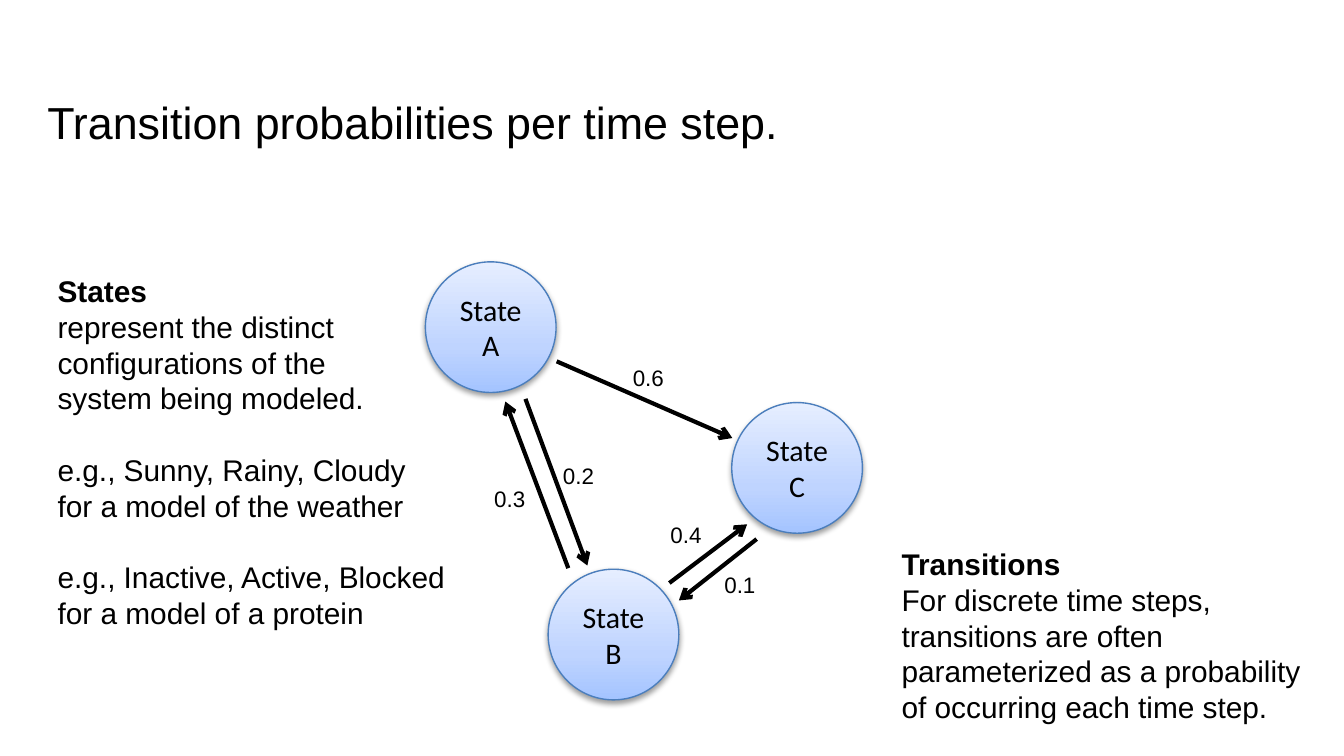
from dataclasses import dataclass

import lxml.etree
import pptx
import pptx.dml.color
import pptx.enum.shapes
import pptx.enum.text
import pptx.oxml
import pptx.oxml.ns
import pptx.util

Cm = pptx.util.Cm
Pt = pptx.util.Pt
qn = pptx.oxml.ns.qn


@dataclass(frozen=True)
class Theme:
    ink: str = "000000"
    edge: str = "4B7EBC"
    fade: tuple = ((0, "A4C4FF"), (35, "BFD4FF"), (100, "E6EEFF"))
    sans: str = "Arial"
    node: str = "Calibri"
    title: int = 24
    body: int = 16
    label: int = 12


THEME = Theme()
DIAM = 2.47

STATES = [("State A", 8.04, 4.95), ("State B", 10.36, 10.76), ("State C", 13.83, 7.61)]

MOVES = [
    ("0.2", (9.93, 7.54), (11.1, 10.69), (10.39, 8.61)),
    ("0.6", (10.52, 6.83), (13.84, 8.28), (11.71, 6.76)),
    ("0.4", (12.65, 11.02), (14.12, 9.91), (12.42, 9.73)),
    ("0.1", (14.3, 10.19), (12.83, 11.35), (13.44, 10.67)),
    ("0.3", (10.74, 10.74), (9.55, 7.59), (9.09, 9.04)),
]

LEFT = [
    ["States", "represent the distinct", "configurations of the", "system being modeled."],
    ["e.g., Sunny, Rainy, Cloudy", "for a model of the weather"],
    ["e.g., Inactive, Active, Blocked", "for a model of a protein"],
]

RIGHT = [[
    "Transitions",
    "For discrete time steps, transitions are often parameterized "
    "as a probability of occurring each time step.",
]]


def rgb(code):
    return pptx.dml.color.RGBColor.from_string(code)


def style(para, size, face=THEME.sans, bold=False):
    font = para.font
    font.name, font.size, font.bold = face, Pt(size), bold
    font.color.rgb = rgb(THEME.ink)


def add_title(slide, text):
    title = slide.shapes.title
    title.left, title.top, title.width, title.height = Cm(0.64), Cm(1.65), Cm(24.13), Cm(0.79)
    frame = title.text_frame
    frame.text = text
    frame.auto_size = pptx.enum.text.MSO_AUTO_SIZE.NONE
    frame.vertical_anchor = pptx.enum.text.MSO_ANCHOR.MIDDLE
    para = frame.paragraphs[0]
    para.alignment = pptx.enum.text.PP_ALIGN.LEFT
    para.line_spacing = 1.5
    style(para, THEME.title)


def add_box(shapes, area, wrap):
    frame = shapes.add_textbox(*map(Cm, area)).text_frame
    frame.word_wrap = wrap
    return frame


def add_note(shapes, blocks, area, wrap):
    frame = add_box(shapes, area, wrap)
    for i, block in enumerate(blocks):
        for j, line in enumerate(block):
            first = i == j == 0
            para = frame.paragraphs[0] if first else frame.add_paragraph()
            para.text = line
            style(para, THEME.body, bold=first)
            if i and not j:
                para.space_before = Pt(19)


def add_fade(shape):
    stops = "".join(
        f'<a:gs pos="{pos * 1000}"><a:srgbClr val="{code}"/></a:gs>' for pos, code in THEME.fade
    )
    fill = pptx.oxml.parse_xml(
        f'<a:gradFill {pptx.oxml.ns.nsdecls("a")} rotWithShape="1"><a:gsLst>{stops}</a:gsLst>'
        '<a:lin ang="16200000" scaled="0"/></a:gradFill>'
    )
    shape.element.spPr.find(qn("a:prstGeom")).addnext(fill)


def add_shade(shape):
    shape.shadow.inherit = False
    effects = shape.element.spPr.find(qn("a:effectLst"))
    shade = lxml.etree.SubElement(
        effects, qn("a:outerShdw"), blurRad=str(Pt(3.1)), dist=str(Pt(1.6)),
        dir="5400000", rotWithShape="0",
    )
    tint = lxml.etree.SubElement(shade, qn("a:srgbClr"), val=THEME.ink)
    lxml.etree.SubElement(tint, qn("a:alpha"), val="38000")


def add_state(shapes, name, left, top):
    oval = pptx.enum.shapes.MSO_SHAPE.OVAL
    state = shapes.add_shape(oval, Cm(left), Cm(top), Cm(DIAM), Cm(DIAM))
    add_fade(state)
    state.line.color.rgb = rgb(THEME.edge)
    state.line.width = Pt(0.75)
    add_shade(state)
    state.text_frame.text = name
    para = state.text_frame.paragraphs[0]
    para.alignment = pptx.enum.text.PP_ALIGN.CENTER
    style(para, THEME.body, THEME.node)


def add_arrow(shapes, start, end):
    kind = pptx.enum.shapes.MSO_CONNECTOR.STRAIGHT
    arrow = shapes.add_connector(kind, *map(Cm, start + end))
    arrow.line.color.rgb = rgb(THEME.ink)
    arrow.line.width = Pt(2.25)
    props = arrow.element.spPr
    lxml.etree.SubElement(props.find(qn("a:ln")), qn("a:tailEnd"), type="arrow")
    lxml.etree.SubElement(props, qn("a:effectLst"))


def add_label(shapes, text, spot):
    para = add_box(shapes, spot + (1.12, 0.76), False).paragraphs[0]
    para.text = text
    style(para, THEME.label)


def main():
    deck = pptx.Presentation()
    deck.slide_width, deck.slide_height = Cm(25.4), Cm(14.29)
    slide = deck.slides.add_slide(deck.slide_layouts.get_by_name("Title Only"))
    add_title(slide, "Transition probabilities per time step.")
    graph = slide.shapes.add_group_shape().shapes
    for state in STATES:
        add_state(graph, *state)
    for _, start, end, _ in MOVES:
        add_arrow(graph, start, end)
    add_note(slide.shapes, RIGHT, (16.79, 10.19, 8.38, 3.68), True)
    add_note(slide.shapes, LEFT, (0.84, 5.03, 7.92, 7.09), False)
    for text, _, _, spot in MOVES:
        add_label(slide.shapes, text, spot)
    deck.save("out.pptx")


if __name__ == "__main__":
    main()
